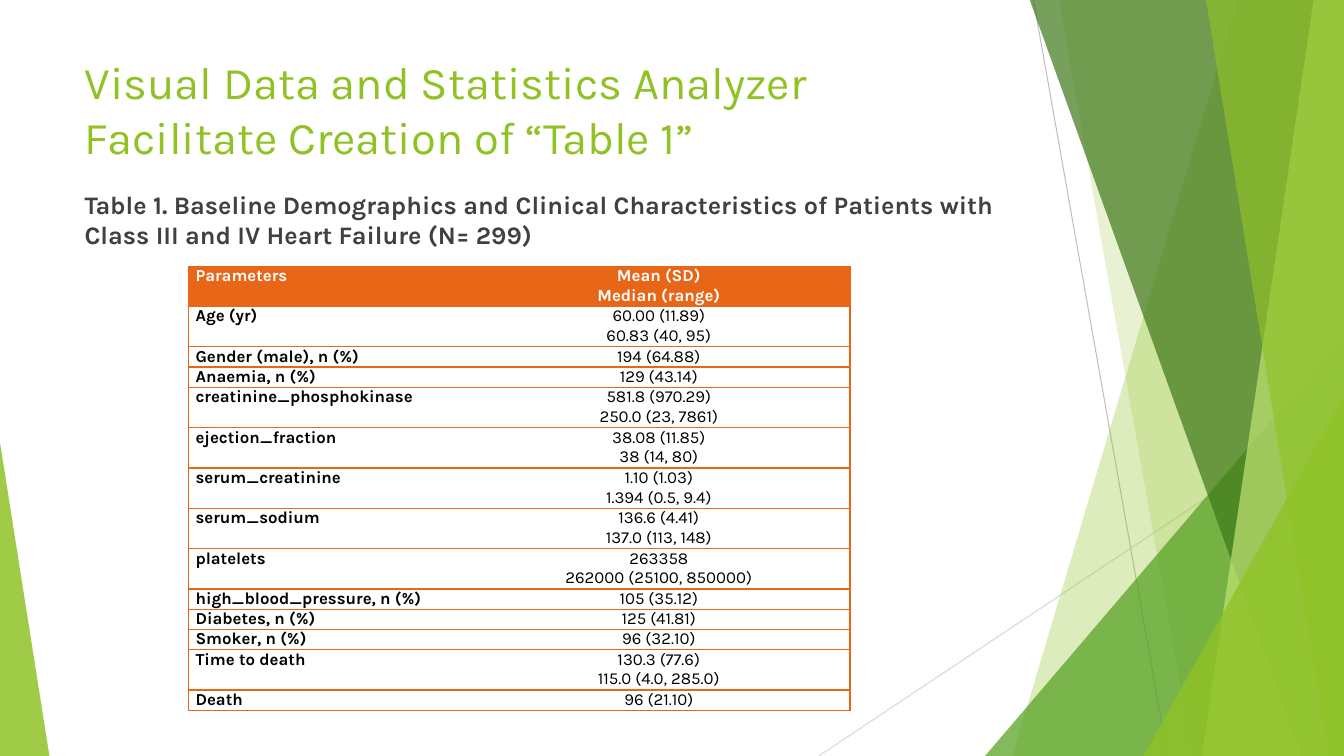
from lxml import etree
from pptx import Presentation
from pptx.dml.color import RGBColor
from pptx.enum.shapes import MSO_CONNECTOR, MSO_SHAPE
from pptx.enum.text import MSO_ANCHOR, PP_ALIGN
from pptx.oxml.ns import qn
from pptx.util import Inches, Pt

STRAIGHT = MSO_CONNECTOR.STRAIGHT
TRIANGLE = MSO_SHAPE.ISOSCELES_TRIANGLE
TOP = MSO_ANCHOR.TOP
LEFT, CENTER = PP_ALIGN.LEFT, PP_ALIGN.CENTER

# Content
FONT = "Karla"
GREEN, ORANGE, WHITE, BLACK, GRAY = "90C226", "E76618", "FFFFFF", "000000", "404040"
TITLE = ["Visual Data and Statistics Analyzer", "Facilitate Creation of “Table 1”"]
CAPTION = ["Table 1. Baseline Demographics and Clinical Characteristics of Patients "
           "with Class III and IV Heart Failure (N= 299)"]
ROWS = [
    ("Parameters", ["Mean (SD)", "Median (range)"]),
    ("Age (yr)", ["60.00 (11.89)", "60.83 (40, 95)"]),
    ("Gender (male), n (%)", ["194 (64.88)"]),
    ("Anaemia, n (%)", ["129 (43.14)"]),
    ("creatinine_phosphokinase", ["581.8 (970.29)", "250.0 (23, 7861)"]),
    ("ejection_fraction", ["38.08 (11.85)", "38 (14, 80)"]),
    ("serum_creatinine", ["1.10 (1.03)", "1.394 (0.5, 9.4)"]),
    ("serum_sodium", ["136.6 (4.41)", "137.0 (113, 148)"]),
    ("platelets", ["263358", "262000 (25100, 850000)"]),
    ("high_blood_pressure, n (%)", ["105 (35.12)"]),
    ("Diabetes, n (%)", ["125 (41.81)"]),
    ("Smoker, n (%)", ["96 (32.10)"]),
    ("Time to death", ["130.3 (77.6)", "115.0 (4.0, 285.0)"]),
    ("Death", ["96 (21.10)"]),
]
COLUMN_WIDTHS = [2.77, 3.79]
TABLE_LEFT, TABLE_TOP, LINE_HEIGHT = 1.87, 2.64, 0.195

# Decoration, back to front
RIGHT, BOTTOM, ABOVE = 13.33, 7.5, -0.01
LINES = [((10.25, 0), (11.58, BOTTOM), "BFBFBF"),
         ((RIGHT, 4.03), (8.12, BOTTOM), "D9D9D9")]
# Bands run to the right edge: top-left x, bottom-left x, colour, opacity
BACK_BANDS = [(12.28, 10.04, GREEN, 30), (10.5, 11.83, GREEN, 20)]
FRONT_BANDS = [(10.21, 12.91, "3F7819", 70), (13.03, 11.92, "C0E474", 70),
               (11.96, 13.18, GREEN, 65)]
# Triangles stand on the bottom edge: left, top, width, apex, colour, opacity
BACK_TRIANGLES = [(9.77, 3.33, 3.56, 1, "54A021", 72)]
FRONT_TRIANGLES = [(11.34, 3.93, 1.99, 1, GREEN, 80), (0, 4.39, 0.49, 0, GREEN, 85)]


def color(value):
    return RGBColor.from_string(value)


def paint(shape, value, opacity):
    shape.shadow.inherit = False
    shape.line.fill.background()
    shape.fill.solid()
    shape.fill.fore_color.rgb = color(value)
    fill = shape.fill._xPr.find(qn("a:solidFill"))
    etree.SubElement(fill[0], qn("a:alpha"), val=str(opacity * 1000))


def add_line(slide, start, end, value):
    line = slide.shapes.add_connector(STRAIGHT, *map(Inches, start + end))
    line.line.color.rgb = color(value)
    line.line.width = Pt(0.75)
    etree.SubElement(line._element.spPr, qn("a:effectLst"))


def add_band(slide, top_x, bottom_x, value, opacity):
    builder = slide.shapes.build_freeform(Inches(top_x), Inches(ABOVE))
    corners = [(RIGHT, ABOVE), (RIGHT, BOTTOM), (bottom_x, BOTTOM)]
    builder.add_line_segments([(Inches(x), Inches(y)) for x, y in corners], close=True)
    paint(builder.convert_to_shape(), value, opacity)


def add_triangle(slide, left, top, width, apex, value, opacity):
    shape = slide.shapes.add_shape(
        TRIANGLE, *map(Inches, (left, top, width, BOTTOM - top)))
    shape.adjustments[0] = apex
    paint(shape, value, opacity)


def add_run(paragraph, text, size, value, bold):
    run = paragraph.add_run()
    run.text = text
    font = run.font
    font.name, font.size, font.bold = FONT, Pt(size), bold
    font.color.rgb = color(value)


def add_text(slide, box, lines, size, value, bold, inset_top):
    frame = slide.shapes.add_textbox(*map(Inches, box)).text_frame
    frame.word_wrap = True
    frame.vertical_anchor = TOP
    frame.margin_top = Inches(inset_top)
    paragraph = frame.paragraphs[0]
    for index, text in enumerate(lines):
        if index:
            paragraph.add_line_break()
        add_run(paragraph, text, size, value, bold)


def set_borders(cell, visible):
    properties = cell._tc.get_or_add_tcPr()
    for position, side in enumerate(["lnL", "lnR", "lnT", "lnB"]):
        border = etree.Element(qn("a:" + side), w=str(Pt(1)))
        if side in visible:
            fill = etree.SubElement(border, qn("a:solidFill"))
            etree.SubElement(fill, qn("a:srgbClr"), val=ORANGE)
        else:
            etree.SubElement(border, qn("a:noFill"))
        properties.insert(position, border)


def fill_cell(cell, lines, align, value, bold, background, outer_side):
    cell.margin_left = cell.margin_right = Inches(0.07)
    cell.margin_top = cell.margin_bottom = 0
    cell.fill.solid()
    cell.fill.fore_color.rgb = color(background)
    for index, text in enumerate(lines):
        frame = cell.text_frame
        paragraph = frame.add_paragraph() if index else frame.paragraphs[0]
        paragraph.alignment = align
        add_run(paragraph, text, 12, value, bold)
    set_borders(cell, {"lnT", "lnB", outer_side})


def add_parameter_table(slide):
    heights = [LINE_HEIGHT * len(values) for _, values in ROWS]
    table = slide.shapes.add_table(
        len(ROWS), 2, Inches(TABLE_LEFT), Inches(TABLE_TOP),
        Inches(sum(COLUMN_WIDTHS)), Inches(sum(heights))).table
    table.horz_banding = False
    for column, width in zip(table.columns, COLUMN_WIDTHS):
        column.width = Inches(width)
    for index, (label, values) in enumerate(ROWS):
        table.rows[index].height = Inches(heights[index])
        header = index == 0
        text_color, background = (WHITE, ORANGE) if header else (BLACK, WHITE)
        fill_cell(table.cell(index, 0), [label], LEFT, text_color, True,
                  background, "lnL")
        fill_cell(table.cell(index, 1), values, CENTER, text_color, header,
                  background, "lnR")


def main():
    presentation = Presentation()
    presentation.slide_width, presentation.slide_height = Inches(RIGHT), Inches(BOTTOM)
    slide = presentation.slides.add_slide(presentation.slide_layouts[6])

    # Background decoration
    for line in LINES:
        add_line(slide, *line)
    for bands, triangles in [(BACK_BANDS, BACK_TRIANGLES), (FRONT_BANDS, FRONT_TRIANGLES)]:
        for band in bands:
            add_band(slide, *band)
        for triangle in triangles:
            add_triangle(slide, *triangle)

    # Title, caption and table
    add_text(slide, (0.74, 0.46, 9.4, 1.02), TITLE, 32.4, GREEN, False, 0.08)
    add_text(slide, (0.74, 1.83, 9.4, 0.7), CAPTION, 18, GRAY, True, 0.05)
    add_parameter_table(slide)
    presentation.save("out.pptx")


if __name__ == "__main__":
    main()
